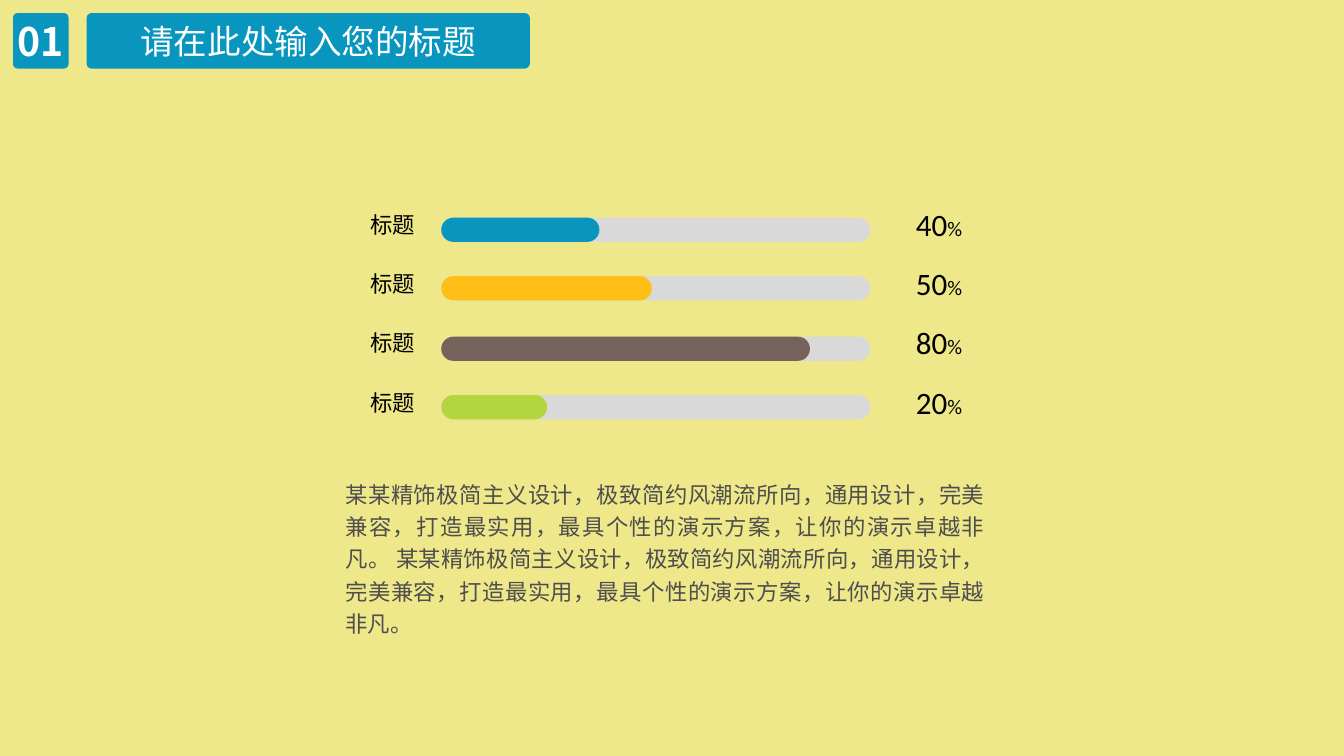
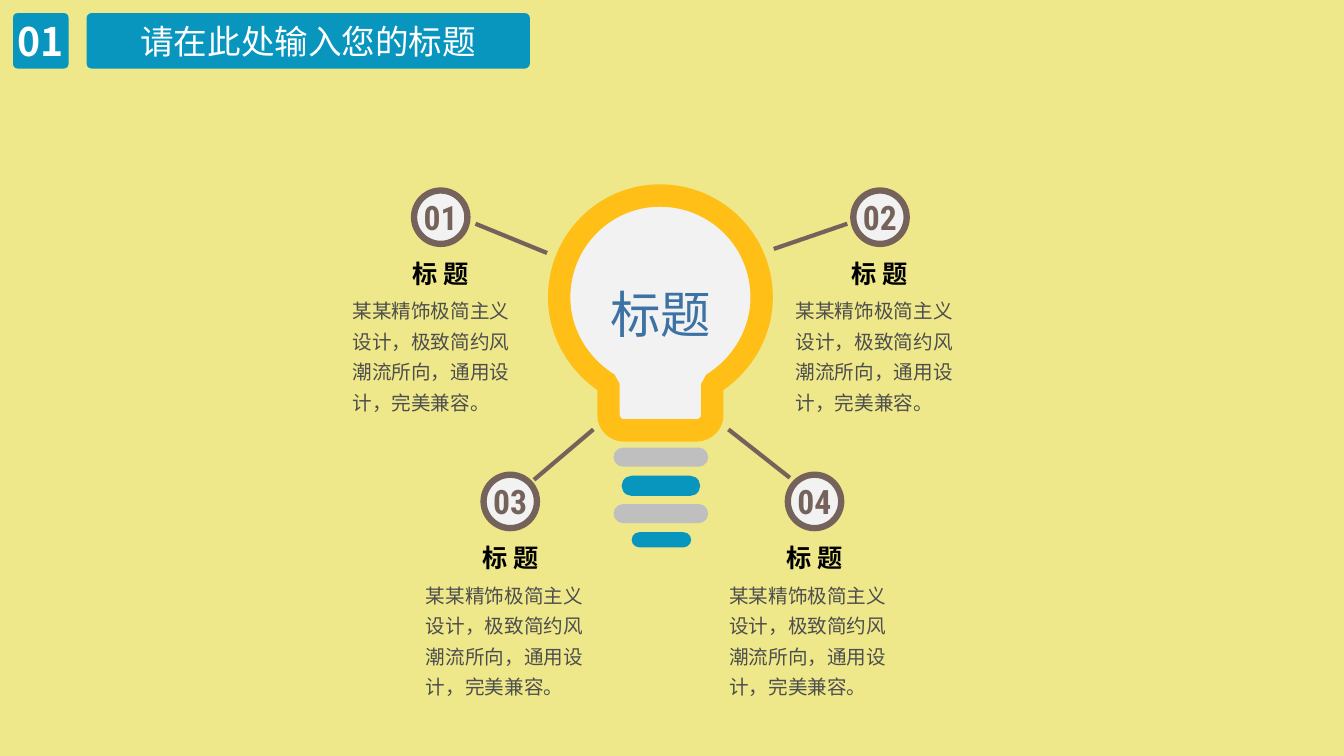
from lxml import etree
from pptx import Presentation, util as u
from pptx.dml.color import RGBColor
from pptx.enum import shapes, text
from pptx.oxml.ns import qn

PX = 9144  # EMU in one px, 100 px to the inch
CJK, LATIN, NUMERIC = "Noto Sans CJK SC", "Calibri", "Roboto Condensed"
BLUE, AMBER, BROWN, GREEN = "0895BE", "FFBF17", "75625B", "B3D53D"
PALE, SILVER, TRACK = "F2F2F2", "BFBFBF", "D9D9D9"
BACKGROUND, BLACK, WHITE, GREY, STEEL = "EEE88A", "000000", "FFFFFF", "4E4E4E", "3C72A4"
CENTER, RIGHT = text.PP_ALIGN.CENTER, text.PP_ALIGN.RIGHT
LEFT, JUSTIFY = text.PP_ALIGN.LEFT, text.PP_ALIGN.JUSTIFY
MIDDLE, TOP = text.MSO_ANCHOR.MIDDLE, text.MSO_ANCHOR.TOP
PILL, OVAL = shapes.MSO_SHAPE.ROUNDED_RECTANGLE, shapes.MSO_SHAPE.OVAL
INSETS = (10, 5)

SECTION = "01"
TITLE = "请在此处输入您的标题"
TITLE_BOX = (86, 13, 440, 55)

# label, percent, bar top, bar length, colour
BARS = [
    ("标题", "40", 216, 157, BLUE),
    ("标题", "50", 274, 209, AMBER),
    ("标题", "80", 334, 366, BROWN),
    ("标题", "20", 392, 105, GREEN),
]
BAR_LEFT, BAR_HEIGHT, TRACK_LENGTH = 438, 24, 426
LABEL_TOP, LABEL_SPAN = 203, 176  # first label, and distance to the last one
SUMMARY = (
    "某某精饰极简主义设计，极致简约风潮流所向，通用设计，完美兼容，打造最实用，"
    "最具个性的演示方案，让你的演示卓越非凡。 "
    "某某精饰极简主义设计，极致简约风潮流所向，通用设计，完美兼容，打造最实用，"
    "最具个性的演示方案，让你的演示卓越非凡。"
)

BULB_TEXT = "标题"
BULB_START = (655, 194)
# Each step is one point (straight) or three points (Bezier)
BULB_STEPS = [
    [(711, 194), (756, 239), (756, 295)],
    [(756, 331), (736, 363), (707, 381)],
    [(707, 412)],
    [(707, 420), (700, 427), (691, 427)],
    [(619, 427)],
    [(611, 427), (604, 420), (604, 412)],
    [(604, 381)],
    [(575, 363), (555, 331), (555, 295)],
    [(555, 239), (600, 194), (655, 194)],
]
BULB_BASE = [
    ((609, 444, 94, 19), SILVER),
    ((617, 472, 78, 20), BLUE),
    ((609, 500, 94, 19), SILVER),
    ((627, 528, 59, 15), BLUE),
]
# number, circle left and top, body left, line start, line end
POINTS = [
    ("01", 411, 189, 340, (472, 222), (543, 251)),
    ("02", 847, 189, 780, (841, 222), (768, 247)),
    ("03", 480, 471, 413, (530, 476), (589, 426)),
    ("04", 782, 471, 714, (784, 474), (723, 426)),
]
POINT_HEADING = "标 题"
POINT_BODY = "某某精饰极简主义设计，极致简约风潮流所向，通用设计，完美兼容。"


def color(value):
    return RGBColor.from_string(value)


def emu(lengths):
    return [length * PX for length in lengths]


def paint(shape, fill, line=None, width=0):
    shape.fill.solid()
    shape.fill.fore_color.rgb = color(fill)
    if line:
        shape.line.color.rgb = color(line)
        shape.line.width = u.Pt(width)
    else:
        shape.line.fill.background()


def write(shape, runs, hue, align=LEFT, anchor=MIDDLE, insets=INSETS, spacing=None,
          font=CJK, bold=False):
    """Fill a shape with one paragraph of (text, size) runs."""
    frame = shape.text_frame
    frame.word_wrap = True
    frame.auto_size = text.MSO_AUTO_SIZE.NONE
    frame.vertical_anchor = anchor
    frame.margin_left = frame.margin_right = insets[0] * PX
    frame.margin_top = frame.margin_bottom = insets[1] * PX
    paragraph = frame.paragraphs[0]
    paragraph.alignment = align
    paragraph._element.get_or_add_pPr().set("hangingPunct", "0")
    if spacing:
        paragraph.line_spacing = spacing
    for content, size in runs:
        run = paragraph.add_run()
        run.text = content
        run.font.size = u.Pt(size)
        run.font.bold = bold
        run.font.color.rgb = color(hue)
        run.font.name = font
        etree.SubElement(run.font._element, qn("a:ea"), typeface=font)


def add_shape(slide, kind, box, fill, line=None, width=0, corner=0.5):
    shape = slide.shapes.add_shape(kind, *emu(box))
    shape.shadow.inherit = False
    if kind == PILL:
        shape.adjustments[0] = corner
    paint(shape, fill, line, width)
    return shape


def add_text(slide, box, runs, hue, **style):
    write(slide.shapes.add_textbox(*emu(box)), runs, hue, **style)


def add_line(slide, start, end):
    line = slide.shapes.add_connector(
        shapes.MSO_CONNECTOR.STRAIGHT, *emu(start), *emu(end))
    line.line.color.rgb = color(BROWN)
    line.line.width = u.Pt(3)
    etree.SubElement(line._element.spPr, qn("a:effectLst"))


def new_slide(presentation):
    """Add a slide with its section badge and title band."""
    slide = presentation.slides.add_slide(presentation.slide_layouts[5])
    badge = add_shape(slide, PILL, (13, 13, 55, 55), BLUE, corner=0.08)
    write(badge, [(SECTION, 28)], WHITE, align=CENTER, insets=(0, 0), bold=True)
    band = add_shape(slide, PILL, TITLE_BOX, BLUE, corner=0.09)
    title = slide.shapes.title
    title.left, title.top, title.width, title.height = emu(TITLE_BOX)
    write(title, [(TITLE, 24)], WHITE, align=CENTER)
    band._element.addnext(title._element)  # title in front of its band
    return slide


def add_bars(slide):
    for row, (label, percent, top, length, hue) in enumerate(BARS):
        for width, fill in ((TRACK_LENGTH, TRACK), (length, hue)):
            add_shape(slide, PILL, (BAR_LEFT, top, width, BAR_HEIGHT), fill)
        label_top = LABEL_TOP + LABEL_SPAN * row // (len(BARS) - 1)
        add_text(slide, (322, label_top, 100, 40), [(label, 16)], BLACK, align=RIGHT)
        add_text(slide, (909, label_top + 3, 79, 38), [(percent, 22.2), ("%", 14.8)],
                 BLACK, insets=(0, 0), spacing=0.9, font=LATIN)


def curve_outline(shape, steps):
    """Join the straight segments of each three-point step into one Bezier."""
    segments = iter(list(shape._element.iter(qn("a:lnTo"))))
    for step in steps:
        parts = [next(segments) for _ in step]
        if len(parts) == 3:
            curve = etree.Element(qn("a:cubicBezTo"))
            parts[0].addprevious(curve)
            for part in parts:
                curve.append(part[0])
                part.getparent().remove(part)


def add_bulb(slide):
    builder = slide.shapes.build_freeform(*BULB_START, scale=PX)
    builder.add_line_segments([point for step in BULB_STEPS for point in step], close=True)
    bulb = builder.convert_to_shape()
    curve_outline(bulb, BULB_STEPS)
    bulb.shadow.inherit = False
    paint(bulb, PALE, AMBER, 16)
    etree.SubElement(bulb._element.spPr.find(qn("a:ln")), qn("a:bevel"))
    write(bulb, [(BULB_TEXT, 36)], STEEL, align=CENTER)
    for box, fill in BULB_BASE:
        add_shape(slide, PILL, box, fill)


def add_points(slide):
    for number, left, top, body_left, start, end in POINTS:
        circle = add_shape(slide, OVAL, (left, top, 53, 53), PALE, BROWN, 4.5)
        write(circle, [(number, 24)], BROWN, align=CENTER, insets=(0, 0),
              font=NUMERIC, bold=True)
        add_line(slide, start, end)
        add_text(slide, (left - 40, top + 68, 133, 34), [(POINT_HEADING, 18)], BLACK,
                 align=CENTER, anchor=TOP, spacing=0.8, bold=True)
        add_text(slide, (body_left, top + 96, 188, 132), [(POINT_BODY, 14)], GREY,
                 anchor=TOP, spacing=1.3)


def main():
    presentation = Presentation()
    presentation.slide_width, presentation.slide_height = emu((1334, 750))
    backdrop = presentation.slide_master.background.fill
    backdrop.solid()
    backdrop.fore_color.rgb = color(BACKGROUND)

    progress = new_slide(presentation)
    add_bars(progress)
    add_text(progress, (333, 467, 655, 139), [(SUMMARY, 16)], GREY,
             align=JUSTIFY, anchor=TOP, spacing=1.2)

    idea = new_slide(presentation)
    add_bulb(idea)
    add_points(idea)
    presentation.save("out.pptx")


if __name__ == "__main__":
    main()
